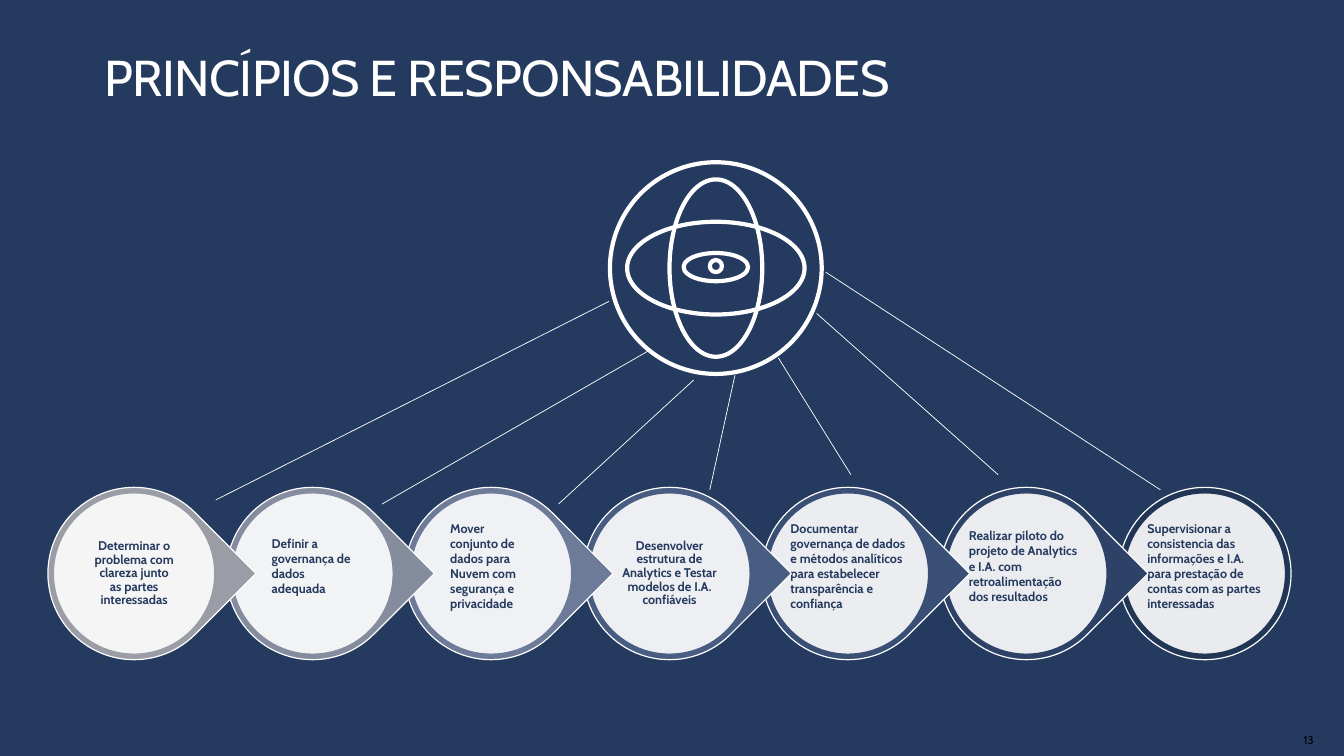
from lxml.etree import SubElement
from pptx import Presentation
from pptx.dml.color import RGBColor
from pptx.enum.shapes import MSO_CONNECTOR, MSO_SHAPE
from pptx.enum.text import MSO_ANCHOR, PP_ALIGN
from pptx.oxml.ns import qn
from pptx.util import Inches, Pt

HUES = {"navy": "243A5E", "white": "FFFFFF", "black": "000000"}

deck = Presentation()
deck.slide_width, deck.slide_height = Inches(13.33), Inches(7.5)
slide = deck.slides.add_slide(deck.slide_layouts[5])
slide.background.fill.solid()
slide.background.fill.fore_color.rgb = RGBColor.from_string(HUES["navy"])


def put_text(box, text, size, hue, align=PP_ALIGN.LEFT, bold=False, gap=1.0,
             anchor=MSO_ANCHOR.MIDDLE, inset=(0, 0, 0, 0), wrap=True):
    """Fill a box with one formatted paragraph; inset is left, top, right, bottom."""
    frame = box.text_frame
    frame.word_wrap, frame.vertical_anchor = wrap, anchor
    (frame.margin_left, frame.margin_top,
     frame.margin_right, frame.margin_bottom) = map(Inches, inset)
    para = frame.paragraphs[0]
    para.alignment, para.line_spacing = align, gap
    run = para.add_run()
    run.text = text
    run.font.name, run.font.size, run.font.bold = "Cabin", Pt(size), bold
    run.font.color.rgb = RGBColor.from_string(hue)
    return run


def add_form(kind, mid_x, mid_y, wide, high, line, width, fill=None):
    """Add a preset shape around its centre; without a fill it stays hollow."""
    form = slide.shapes.add_shape(kind, Inches(mid_x - wide / 2), Inches(mid_y - high / 2),
                                  Inches(wide), Inches(high))
    form.shadow.inherit = False
    form.line.color.rgb = RGBColor.from_string(line)
    form.line.width = Pt(width)
    if fill:
        form.fill.solid()
        form.fill.fore_color.rgb = RGBColor.from_string(fill)
    else:
        form.fill.background()
    return form


# Title and page number
title = slide.shapes.title
title.left, title.top, title.width, title.height = map(Inches, (0.94, 0.41, 8.64, 0.71))
run = put_text(title, "PRINCÍPIOS E RESPONSABILIDADES", 36, HUES["white"],
               anchor=MSO_ANCHOR.TOP, inset=(0.1, 0.05, 0.1, 0.05))
run.font._element.set("spc", "-50")
page = slide.shapes.add_textbox(Inches(12.73), Inches(7.28), Inches(0.3), Inches(0.13))
put_text(page, "13", 8, HUES["black"], align=PP_ALIGN.RIGHT, wrap=False)

# Chain of steps: hue, text, width of the text, whether it is centred
steps = [
    ("9A9DA5", "Determinar o problema com clareza junto as partes interessadas", 0.81, True),
    ("848C9E", "Definir a governança de dados adequada", 0.81, False),
    ("6D7A98", "Mover conjunto de dados para Nuvem com segurança e privacidade", 0.81, False),
    ("495D83", "Desenvolver estrutura de Analytics e Testar modelos de I.A. confiáveis",
     1.14, True),
    ("3A4F75", "Documentar governança de dados e métodos analíticos para estabelecer "
     "transparência e confiança", 1.14, False),
    ("2D4266", "Realizar piloto do projeto de Analytics e I.A. com retroalimentação "
     "dos resultados", 1.14, False),
    ("213555", "Supervisionar a consistencia das informações e I.A. para prestação de "
     "contas com as partes interessadas", 1.14, False),
]
FIRST, PITCH, ROW = 1.33, 1.77, 5.69
# Drawn from the last step back, so each point lies over its neighbour
for index, (hue, text, side, middle) in reversed(list(enumerate(steps))):
    mid = FIRST + PITCH * index
    last = index == len(steps) - 1
    drop = add_form(MSO_SHAPE.OVAL if last else MSO_SHAPE.TEAR, mid, ROW, 1.71, 1.71,
                    HUES["white"], 0.85, hue)
    drop.rotation = 0 if last else 45
    disc = add_form(MSO_SHAPE.OVAL, mid, ROW, 1.6, 1.6, hue, 0.85, HUES["white"])
    color = disc.fill._xPr.find(qn("a:solidFill"))[0]
    SubElement(color, qn("a:alpha")).set("val", "90000")
    label = slide.shapes.add_textbox(Inches(mid - side / 2), Inches(ROW - side / 2),
                                     Inches(side), Inches(side))
    put_text(label, text, 9, HUES["navy"], bold=True,
             align=PP_ALIGN.CENTER if middle else PP_ALIGN.LEFT,
             gap=0.9 if middle else 1.0, inset=(0, 0, 0, 0 if middle else 0.15))

# Rays from the emblem to the steps
rays = [(6.04, 2.99, 2.14, 4.96), (6.45, 3.47, 3.79, 5), (6.88, 3.77, 5.54, 5),
        (7.29, 3.72, 7.04, 4.86), (7.72, 3.55, 8.44, 4.71), (8.1, 3.11, 9.9, 4.71),
        (8.19, 2.7, 11.51, 4.86)]
for ends in rays:
    ray = slide.shapes.add_connector(MSO_CONNECTOR.STRAIGHT, *map(Inches, ends))
    ray.line.color.rgb = RGBColor.from_string(HUES["white"])
    ray.line.width = Pt(0.5)
    SubElement(ray._element.spPr, qn("a:effectLst"))

# Emblem of nested rings
for mid_y, wide, high in [(2.66, 0.92, 1.76), (2.66, 1.76, 0.92), (2.66, 2.1, 2.1),
                          (2.65, 0.64, 0.28), (2.64, 0.12, 0.12)]:
    add_form(MSO_SHAPE.OVAL, 7.1, mid_y, wide, high, HUES["white"], 3)

deck.save("out.pptx")
